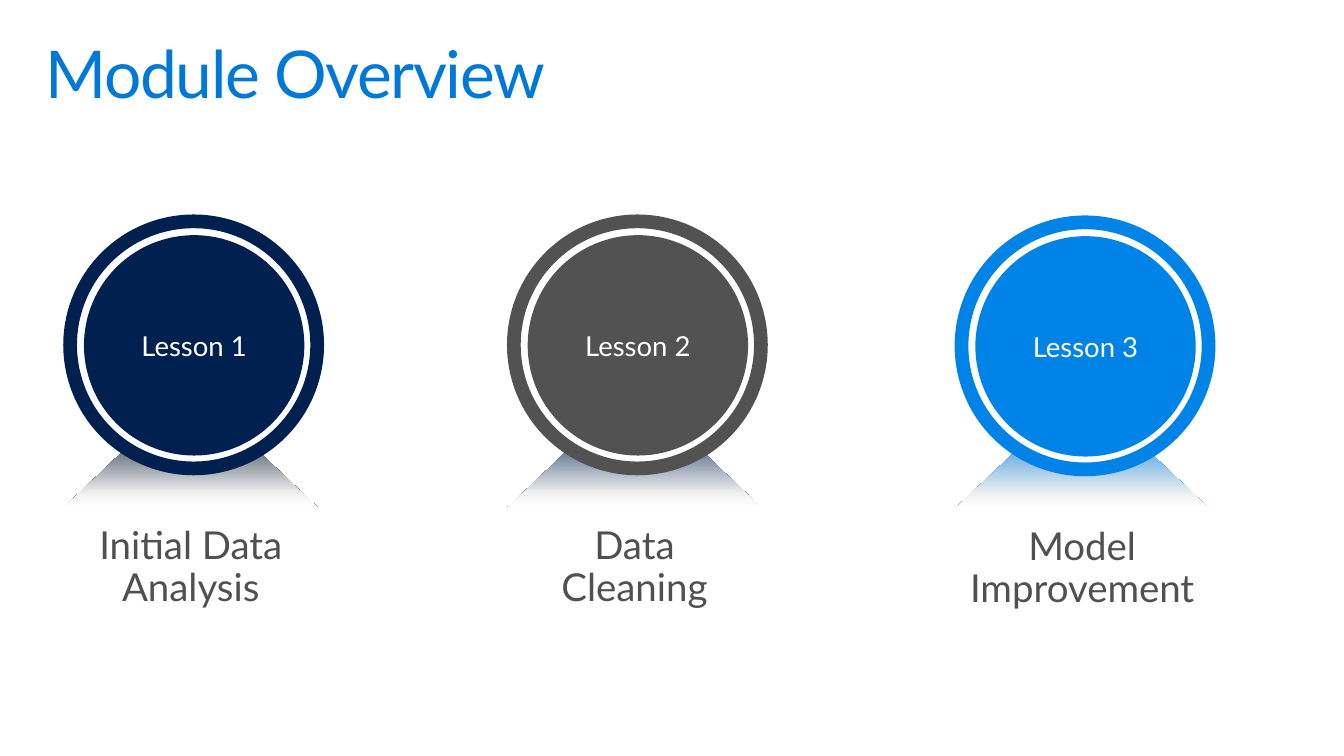
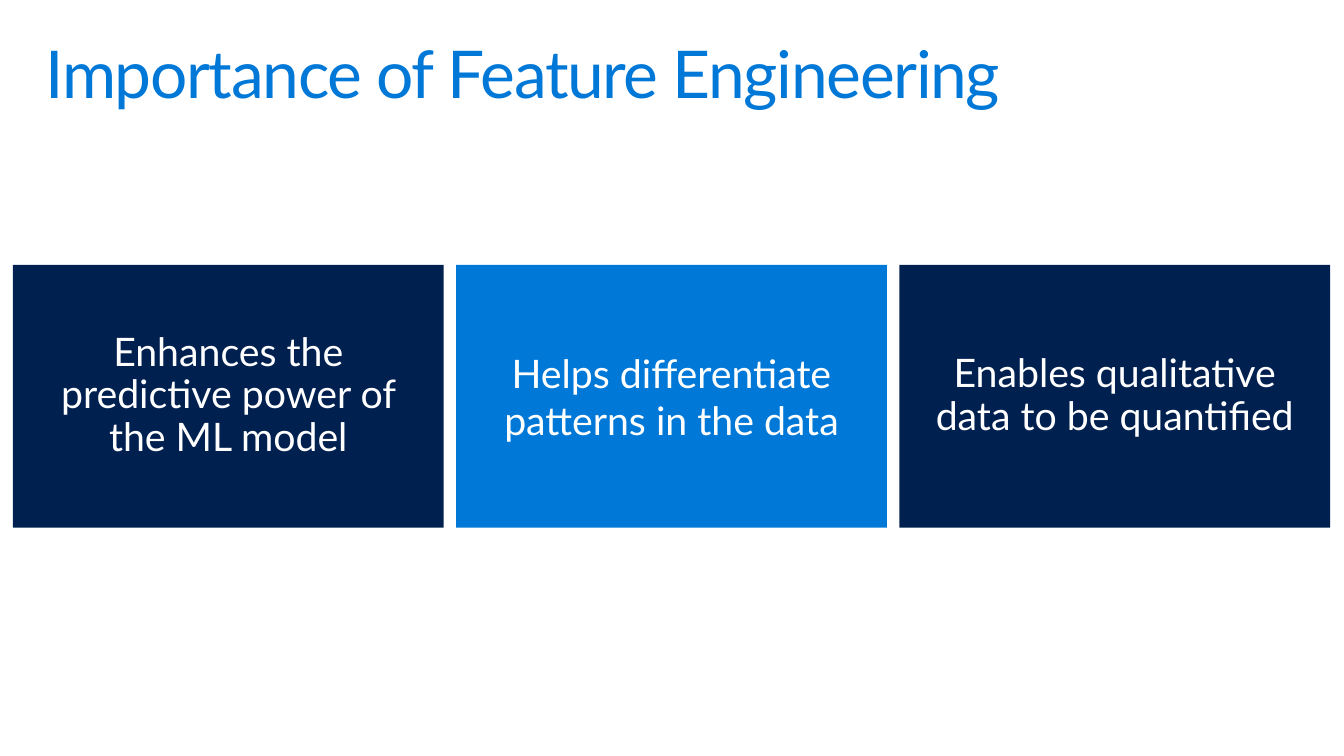
"""Build the module overview and feature engineering slides."""
from copy import deepcopy
from dataclasses import dataclass

from pptx import Presentation
from pptx.dml.color import RGBColor as Rgb
from pptx.enum.shapes import MSO_SHAPE as Kind
from pptx.enum.text import MSO_ANCHOR as Anchor, PP_ALIGN as Align
from pptx.util import Inches, Pt

FONT = "Lato"
HEX = {
    "navy": "002050", "blue": "0078D7", "sky": "0083E6", "gray": "525252",
    "text": "505050", "white": "FFFFFF", "pale": "F2F2F2", "night": "001028",
}


@dataclass
class Lesson:
    label: str
    topic: str
    left: float
    top: float
    color: str
    shade: str
    width: float = 2.58


@dataclass
class Card:
    text: str
    color: str
    pitch: float = 0.9


LESSONS = [
    Lesson("Lesson 1", "Initial Data Analysis", 0.64, 2.24, "navy", "night"),
    Lesson("Lesson 2", "Data Cleaning", 5.13, 2.24, "gray", "navy"),
    Lesson("Lesson 3", "Model Improvement", 9.66, 2.25, "sky", "blue", 2.65),
]
CARDS = [
    Card("Enhances the predictive power of the ML model", "navy"),
    Card("Helps differentiate patterns in the data", "blue", 1.0),
    Card("Enables qualitative data to be quantified", "navy"),
]


def tint(name: str) -> Rgb:
    """Return a named colour."""
    return Rgb.from_string(HEX[name])


def write(shape, text: str, size: float, color: str, pitch: float = 1.0,
          pad: tuple = (0.16, 0.1), align=Align.CENTER, anchor=Anchor.MIDDLE):
    """Put one formatted paragraph in a shape and return it."""
    frame = shape.text_frame
    frame.word_wrap = True
    frame.vertical_anchor = anchor
    frame.margin_left = frame.margin_right = Inches(pad[0])
    frame.margin_top = frame.margin_bottom = Inches(pad[1])
    para = frame.paragraphs[0]
    para.text = text
    para.alignment = align
    para.line_spacing = pitch
    para.font.name = FONT
    para.font.size = Pt(size)
    para.font.color.rgb = tint(color)
    return para


def draw(shapes, kind: Kind, box: tuple, color: str):
    """Add a flat shape without an outline."""
    shape = shapes.add_shape(kind, *map(Inches, box))
    shape.shadow.inherit = False
    shape.fill.solid()
    shape.fill.fore_color.rgb = tint(color)
    shape.line.fill.background()
    return shape


def fade(shape, shade: str) -> None:
    """Fill a shape with a downward fade from a shade to white."""
    shape.fill.gradient()
    shape.fill.gradient_angle = 270
    first = shape.fill.gradient_stops[0]._gs
    first.addnext(deepcopy(first))
    stops = [(shade, 0), ("pale", 0.85), ("white", 1)]
    for stop, (color, place) in zip(shape.fill.gradient_stops, stops):
        stop.color.rgb = tint(color)
        stop.position = place


def start(deck, title: str):
    """Add a slide with the shared title style."""
    slide = deck.slides.add_slide(deck.slide_layouts[5])
    head = slide.shapes.title
    head.left, head.top, head.width, head.height = map(
        Inches, (0.3, 0.32, 13, 1))
    para = write(head, title, 48, "blue", 0.9,
                 align=Align.LEFT, anchor=Anchor.TOP)
    para.runs[0]._r.get_or_add_rPr().set("spc", "-100")
    return slide


def badge(slide, item: Lesson) -> None:
    """Draw a lesson's ringed disc, its cast shade and its topic."""
    shapes = slide.shapes.add_group_shape().shapes
    x, y = item.left, item.top
    base = draw(shapes, Kind.TRAPEZOID, (x, y + 1.98, 2.58, 0.92), "white")
    base.adjustments[0] = 1.056
    fade(base, item.shade)
    ring = draw(shapes, Kind.OVAL, (x + 0.07, y, 2.5, 2.5), "white")
    ring.line.color.rgb = tint(item.color)
    ring.line.width = Pt(10)
    disc = draw(shapes, Kind.OVAL, (x + 0.21, y + 0.14, 2.23, 2.23),
                item.color)
    write(disc, item.label, 20, "white", pad=(0, 0.05))
    left = x + (2.58 - item.width) / 2
    note = shapes.add_textbox(*map(Inches, (left, y + 2.99, item.width, 1.05)))
    write(note, item.topic, 28, "text", 0.9, anchor=Anchor.TOP)


def main() -> None:
    """Build and save the deck."""
    deck = Presentation()
    deck.slide_width, deck.slide_height = Inches(13.6), Inches(7.65)

    slide = start(deck, "Module Overview")
    for item in LESSONS:
        badge(slide, item)

    slide = start(deck, "Importance of Feature Engineering")
    wide, gap = 4.36, 0.125
    for num, card in enumerate(CARDS):
        box = (0.13 + num * (wide + gap), 2.68, wide, 2.66)
        shape = draw(slide.shapes, Kind.RECTANGLE, box, card.color)
        write(shape, card.text, 28.6, "white", card.pitch, (0.2, 0.16))

    deck.save("out.pptx")


if __name__ == "__main__":
    main()
